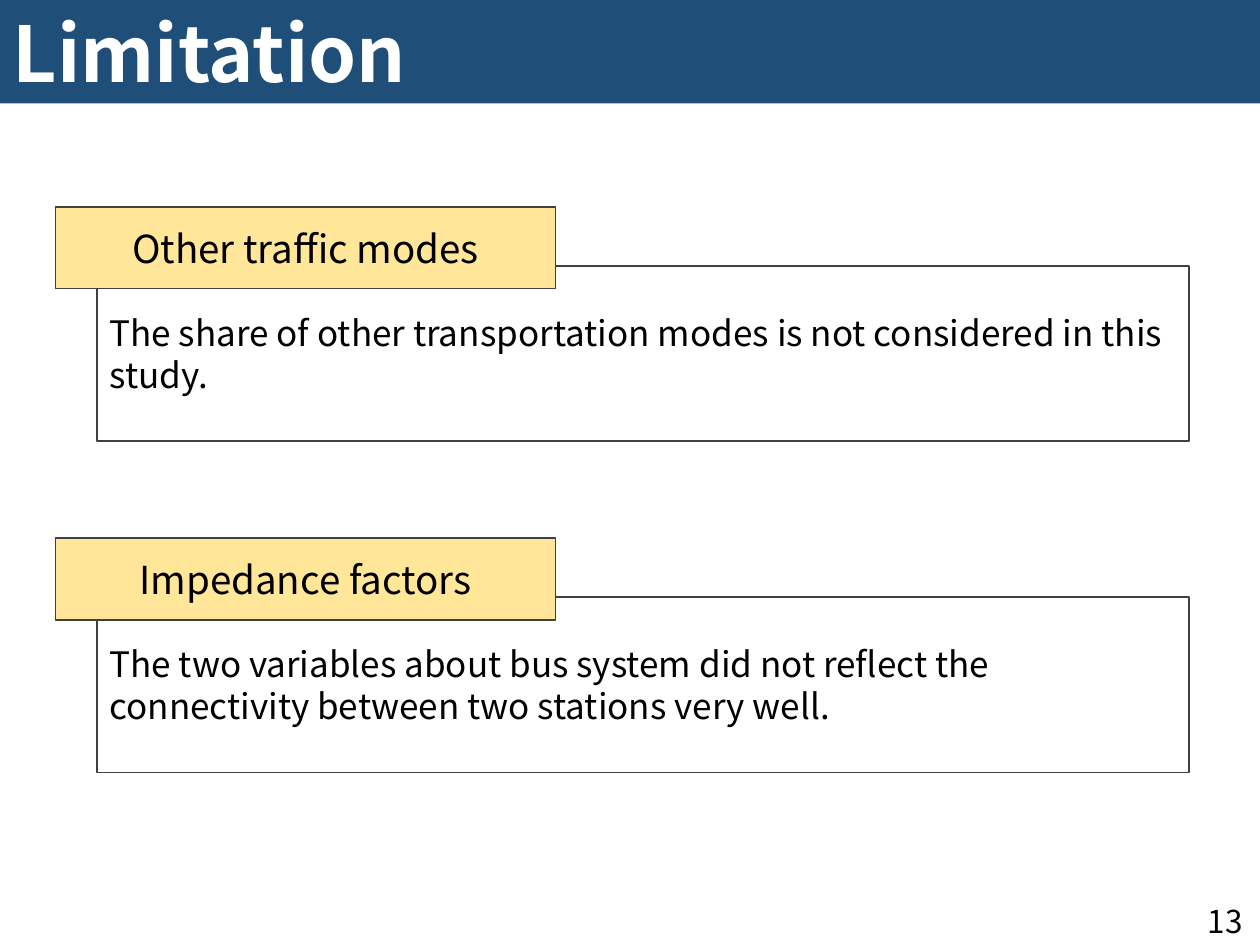
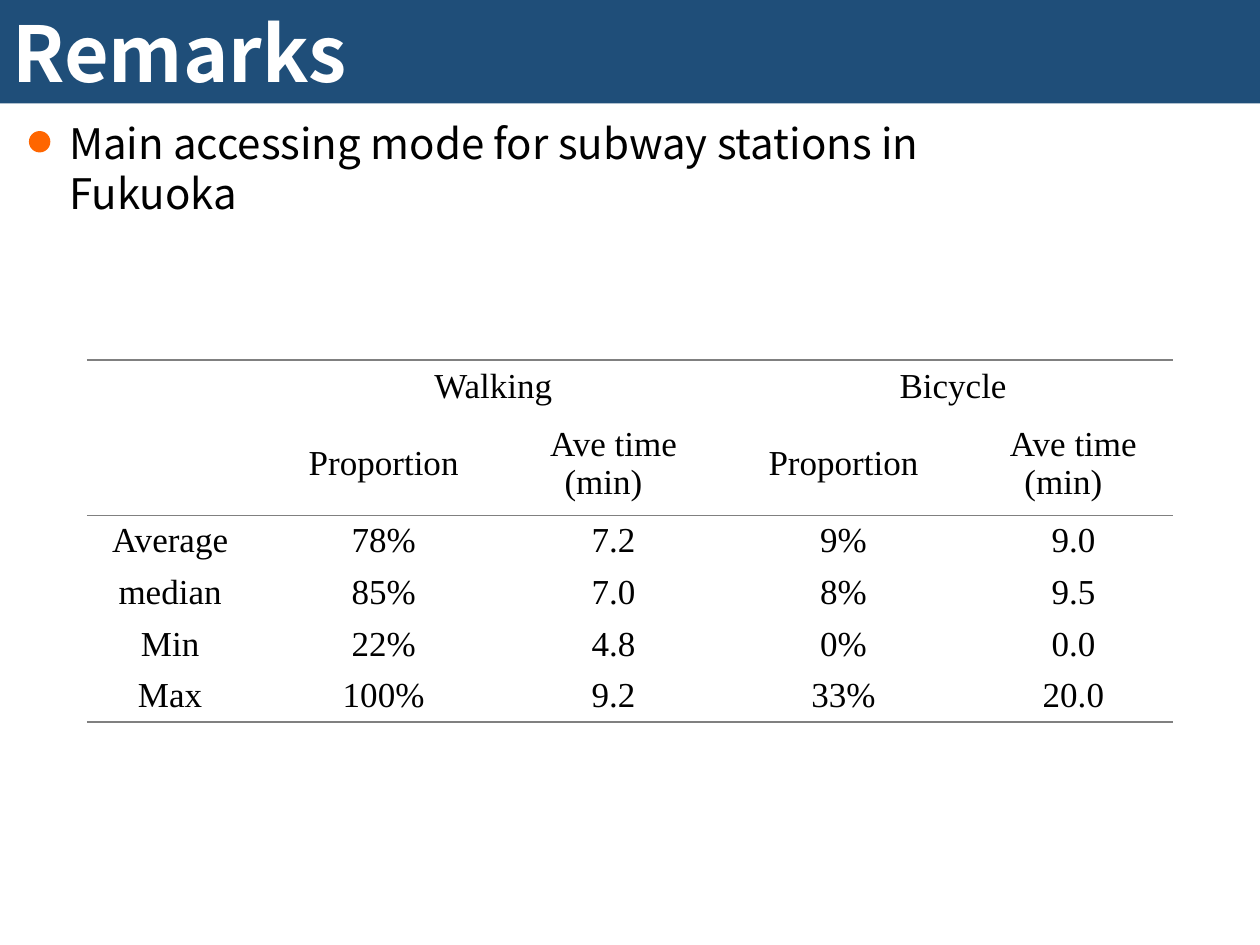
from lxml import etree
from pptx import Presentation
from pptx import util as u
from pptx.dml.color import RGBColor
from pptx.enum import shapes, text
from pptx.oxml import ns

COLORS = {"band": "1F4E79", "white": "FFFFFF", "black": "000000", "label": "FFE699",
          "outline": "404040", "rule": "808080", "bullet": "FF6600"}
SANS, SERIF = "Noto Sans CJK SC", "Times New Roman"
TITLE = {"size": u.Pt(44), "bold": True, "name": SANS, "color": "white"}
LABEL = {"size": u.Pt(22), "name": SANS}
BODY = {"size": u.Pt(20), "name": SANS}
LEAD = {"size": u.Pt(24), "name": SANS}
NUMBER = {"size": u.Pt(18), "name": SANS}
CELL = {"size": u.Pt(20), "name": SERIF}

LIMITATIONS = [
    ("Other traffic modes",
     "The share of other transportation modes is not considered in this study."),
    ("Impedance factors",
     "The two variables about bus system did not reflect the connectivity "
     "between two stations very well."),
]
ACCESS_ROWS = [
    ["", "Walking", "", "Bicycle", ""],
    ["", "Proportion", "Ave time (min)", "Proportion", "Ave time (min)"],
    ["Average", "78%", "7.2", "9%", "9.0"],
    ["median", "85%", "7.0", "8%", "9.5"],
    ["Min", "22%", "4.8", "0%", "0.0"],
    ["Max", "100%", "9.2", "33%", "20.0"],
]


def rgb(name):
    return RGBColor.from_string(COLORS[name])


def inches(*lengths):
    return [u.Inches(length) for length in lengths]


def write(frame, content, style, align=text.PP_ALIGN.LEFT, anchor=text.MSO_ANCHOR.MIDDLE):
    """Fill a text frame with one formatted paragraph."""
    frame.word_wrap = True
    frame.vertical_anchor = anchor
    paragraph = frame.paragraphs[0]
    paragraph.alignment = align
    run = paragraph.add_run()
    run.text = content
    for key, value in style.items():
        if key != "color":
            setattr(run.font, key, value)
    run.font.color.rgb = rgb(style.get("color", "black"))
    return paragraph


def add_box(slide, kind, box, fill=None, line=None):
    shape = slide.shapes.add_shape(kind, *inches(*box))
    shape.shadow.inherit = False
    if fill:
        shape.fill.solid()
        shape.fill.fore_color.rgb = rgb(fill)
    else:
        shape.fill.background()
    if line:
        shape.line.color.rgb = rgb(line)
        shape.line.width = u.Pt(1)
    else:
        shape.line.fill.background()
    return shape


def add_titled_slide(presentation, title):
    """Title-only slide whose title is the dark band across the top."""
    slide = presentation.slides.add_slide(presentation.slide_layouts[5])
    band = slide.shapes.title
    band.left, band.top, band.width, band.height = inches(0, 0, 10, 0.82)
    band.fill.solid()
    band.fill.fore_color.rgb = rgb("band")
    band.text_frame.auto_size = text.MSO_AUTO_SIZE.NONE
    write(band.text_frame, title, TITLE)
    return slide


def add_text(slide, box, content, style, **layout):
    shape = slide.shapes.add_textbox(*inches(*box))
    write(shape.text_frame, content, style, **layout)


def add_limitation(slide, left, top, label, body):
    """Outlined statement with a label overlapping its top left corner."""
    rectangle = shapes.MSO_SHAPE.RECTANGLE
    statement = add_box(slide, rectangle, (left + 0.33, top + 0.47, 8.67, 1.39), line="outline")
    write(statement.text_frame, body, BODY)
    tag = add_box(slide, rectangle, (left, top, 3.97, 0.65), "label", "outline")
    write(tag.text_frame, label, LABEL, text.PP_ALIGN.CENTER)


def add_bullet_line(slide, left, top, content):
    """Lead sentence with a round marker at its left."""
    add_text(slide, (left + 0.22, top, 7.85, 0.5), content, LEAD, anchor=text.MSO_ANCHOR.TOP)
    add_box(slide, shapes.MSO_SHAPE.OVAL, (left, top + 0.16, 0.17, 0.17), "bullet")


def set_borders(cell, widths):
    """Draw the edges given in points and hide the other ones."""
    properties = cell._tc.get_or_add_tcPr()
    for position, edge in enumerate(("lnL", "lnR", "lnT", "lnB")):
        width = widths.get(edge, 0)
        line = etree.Element(ns.qn("a:" + edge), w=str(u.Pt(width)))
        fill = etree.SubElement(line, ns.qn("a:solidFill" if width else "a:noFill"))
        if width:
            etree.SubElement(fill, ns.qn("a:srgbClr"), val=COLORS["rule"])
        properties.insert(position, line)


def add_access_table(slide, left, top, rows):
    column_widths = [1.32] + [1.91, 1.74] * 2
    row_heights = [0.82 if index == 1 else 0.41 for index in range(len(rows))]
    frame = slide.shapes.add_table(len(rows), len(column_widths), *inches(
        left, top, sum(column_widths), sum(row_heights)))
    table = frame.table
    table.first_row = table.horz_banding = False
    for column, width in zip(table.columns, column_widths):
        column.width = u.Inches(width)
    for row, height in zip(table.rows, row_heights):
        row.height = u.Inches(height)

    # Rules above the header, below it and below the last row
    rules = {0: {"lnT": 1.5}, 1: {"lnB": 1}, 2: {"lnT": 1}, len(rows) - 1: {"lnB": 1.5}}
    for row_index, values in enumerate(rows):
        for column_index, value in enumerate(values):
            cell = table.cell(row_index, column_index)
            cell.fill.background()
            cell.margin_left = cell.margin_right = u.Inches(0.07)
            cell.margin_top = cell.margin_bottom = 0
            cell.vertical_anchor = text.MSO_ANCHOR.MIDDLE
            set_borders(cell, rules.get(row_index, {}))
            if value:
                paragraph = write(cell.text_frame, value, CELL, text.PP_ALIGN.CENTER)
                if column_index:
                    paragraph._p.get_or_add_pPr().set("indent", str(u.Inches(0.16)))

    # Each mode heads two columns
    for column_index in (1, 3):
        table.cell(0, column_index).merge(table.cell(0, column_index + 1))


def build_limitation_slide(presentation):
    slide = add_titled_slide(presentation, "Limitation")
    add_text(slide, (9.45, 7.12, 0.55, 0.38), "13", NUMBER, align=text.PP_ALIGN.CENTER)
    for index, (label, body) in enumerate(LIMITATIONS):
        add_limitation(slide, 0.44, 1.64 + 2.63 * index, label, body)


def build_remarks_slide(presentation):
    slide = add_titled_slide(presentation, "Remarks")
    add_access_table(slide, 0.69, 2.86, ACCESS_ROWS)
    add_bullet_line(slide, 0.23, 0.88, "Main accessing mode for subway stations in Fukuoka")


def main():
    presentation = Presentation()
    presentation.slide_width, presentation.slide_height = inches(10, 7.5)
    build_limitation_slide(presentation)
    build_remarks_slide(presentation)
    presentation.save("out.pptx")


if __name__ == "__main__":
    main()
